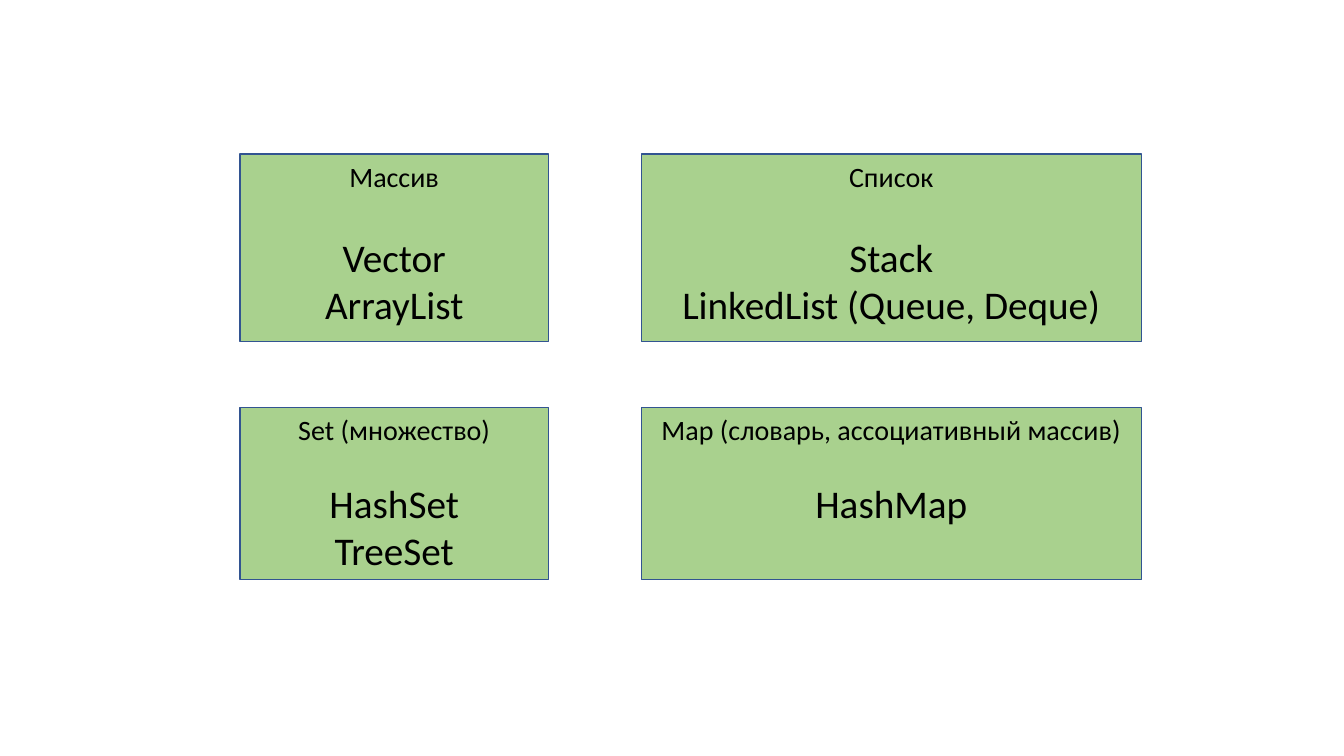
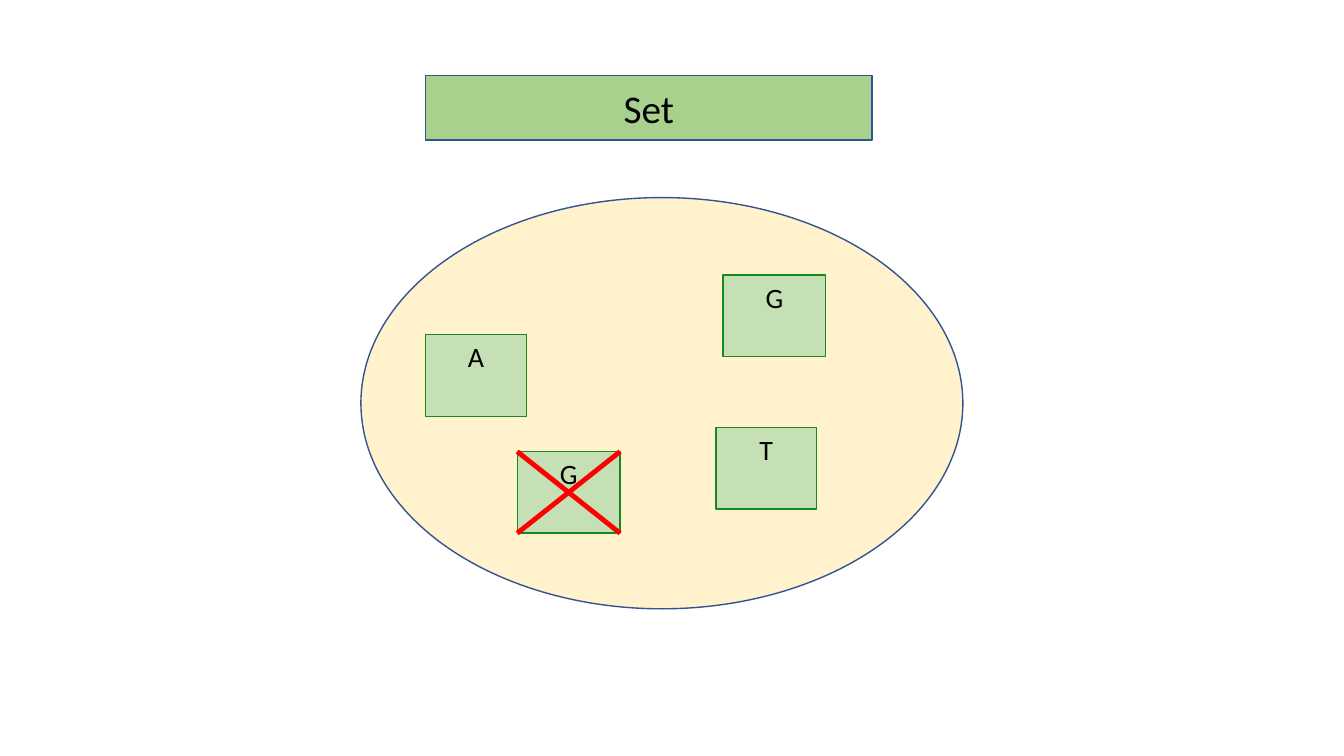
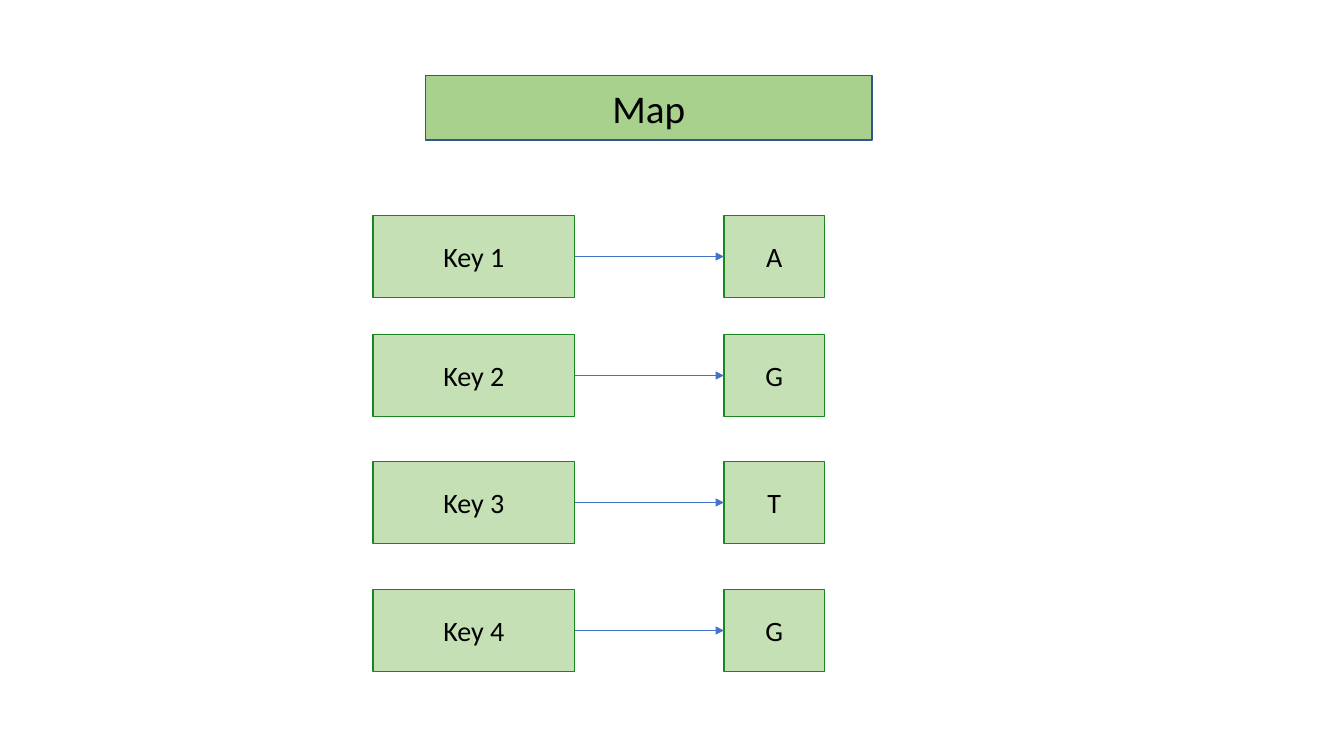
from dataclasses import dataclass

from lxml import etree
from pptx import Presentation
from pptx.dml.color import RGBColor
from pptx.enum import shapes, text
from pptx.oxml.ns import qn
from pptx.util import Inches, Pt


@dataclass(frozen=True)
class Theme:
    """Colours, font and type sizes shared by the slides."""
    font: str = "Calibri"
    ink: str = "000000"
    panel: str = "A9D18E"
    panel_line: str = "325491"
    item: str = "C5E0B4"
    item_line: str = "18871E"
    oval: str = "FFF2CC"
    arrow: str = "4472C4"
    cross: str = "FF0000"
    large: int = 28
    small: int = 20


THEME = Theme()
ITEM_HEIGHT = 0.81
TOP, MIDDLE = text.MSO_ANCHOR.TOP, text.MSO_ANCHOR.MIDDLE


def paint(shape, fill, line):
    """Give a shape a solid fill and a thin outline."""
    shape.fill.solid()
    shape.fill.fore_color.rgb = RGBColor.from_string(fill)
    shape.line.color.rgb = RGBColor.from_string(line)
    shape.line.width = Pt(1)


def write(paragraph, words, size):
    """Fill a centred paragraph with words in the theme font."""
    paragraph.text = words
    paragraph.alignment = text.PP_ALIGN.CENTER
    paragraph.font.name = THEME.font
    paragraph.font.size = Pt(size)
    paragraph.font.color.rgb = RGBColor.from_string(THEME.ink)


def add_box(slide, box, fill, line, kind=shapes.MSO_SHAPE.RECTANGLE):
    """Add a flat preset shape at left, top, width, height in inches."""
    shape = slide.shapes.add_shape(kind, *map(Inches, box))
    shape.shadow.inherit = False
    paint(shape, fill, line)
    return shape


def add_item(slide, box, label, anchor):
    """Add a light green element box with its label."""
    shape = add_box(slide, box, THEME.item, THEME.item_line)
    shape.text_frame.vertical_anchor = anchor
    write(shape.text_frame.paragraphs[0], label, THEME.small)
    return shape


def add_panel(slide, box, heading, classes, gap):
    """Add a panel with a heading and, after a gap in points, its classes."""
    frame = add_box(slide, box, THEME.panel, THEME.panel_line).text_frame
    frame.vertical_anchor = TOP
    write(frame.paragraphs[0], heading, THEME.small)
    paragraph = frame.add_paragraph()
    write(paragraph, "\v".join(classes), THEME.large)
    paragraph.space_before = Pt(gap)


def add_line(slide, color, width, start=(0, 0), end=(0, 0), kind=shapes.MSO_CONNECTOR.STRAIGHT):
    """Add a flat connector between two points in inches."""
    connector = slide.shapes.add_connector(kind, *map(Inches, (*start, *end)))
    connector.line.color.rgb = RGBColor.from_string(color)
    connector.line.width = Pt(width)
    etree.SubElement(connector._element.spPr, qn("a:effectLst"))
    return connector


def add_arrow(slide, source, target):
    """Join the right side of one box to the left side of another."""
    connector = add_line(slide, THEME.arrow, 0.75, kind=shapes.MSO_CONNECTOR.ELBOW)
    connector.begin_connect(source, 3)
    connector.end_connect(target, 1)
    outline = connector.line._get_or_add_ln()
    etree.SubElement(outline, qn("a:tailEnd"), type="triangle")


def add_titled_slide(presentation, words):
    """Add a slide whose title placeholder is a green band."""
    slide = presentation.slides.add_slide(presentation.slide_layouts[5])
    title = slide.shapes.title
    title.left, title.top, title.width, title.height = map(Inches, (4.22, 0.75, 4.43, 0.64))
    paint(title, THEME.panel, THEME.panel_line)
    title.text_frame.auto_size = text.MSO_AUTO_SIZE.NONE
    title.text_frame.vertical_anchor = MIDDLE
    write(title.text_frame.paragraphs[0], words, THEME.large)
    return slide


def build_collections(presentation):
    """Show the four kinds of collection as a grid of panels."""
    slide = presentation.slides.add_slide(presentation.slide_layouts[6])
    columns = ((2.38, 3.06), (6.36, 4.96))
    rows = (
        (1.53, 1.86, 29, (("Массив", ("Vector", "ArrayList")),
                          ("Список", ("Stack", "LinkedList (Queue, Deque)")))),
        (4.04, 1.71, 24, (("Set (множество)", ("HashSet", "TreeSet")),
                          ("Map (словарь, ассоциативный массив)", ("HashMap",)))),
    )
    for top, height, gap, panels in rows:
        for (left, width), (heading, classes) in zip(columns, panels):
            add_panel(slide, (left, top, width, height), heading, classes, gap)


def build_set(presentation):
    """Show a set that rejects a repeated element."""
    slide = add_titled_slide(presentation, "Set")
    add_box(slide, (3.58, 1.96, 5.97, 4.08), THEME.oval, THEME.panel_line, shapes.MSO_SHAPE.OVAL)
    left, top, width = 5.13, 4.48, 1.02
    elements = (("A", 4.22, 3.32, 1), ("G", 7.17, 2.73, width), ("T", 7.1, 4.24, 1),
                ("G", left, top, width))
    for label, item_left, item_top, item_width in elements:
        add_item(slide, (item_left, item_top, item_width, ITEM_HEIGHT), label, TOP)
    right, bottom = left + width, top + ITEM_HEIGHT
    for start_y, end_y in ((top, bottom), (bottom, top)):
        add_line(slide, THEME.cross, 3.5, (left, start_y), (right, end_y))


def build_map(presentation):
    """Show a map as keys that point to values."""
    slide = add_titled_slide(presentation, "Map")
    for number, (top, value) in enumerate(zip((2.14, 3.32, 4.58, 5.85), "AGTG"), 1):
        key_box = add_item(slide, (3.7, top, 2, ITEM_HEIGHT), f"Key {number}", MIDDLE)
        value_box = add_item(slide, (7.18, top, 1, ITEM_HEIGHT), value, MIDDLE)
        add_arrow(slide, key_box, value_box)


def main():
    """Build and save the presentation."""
    presentation = Presentation()
    presentation.slide_width = Inches(13.33)
    presentation.slide_height = Inches(7.5)
    build_collections(presentation)
    build_set(presentation)
    build_map(presentation)
    presentation.save("out.pptx")


if __name__ == "__main__":
    main()
